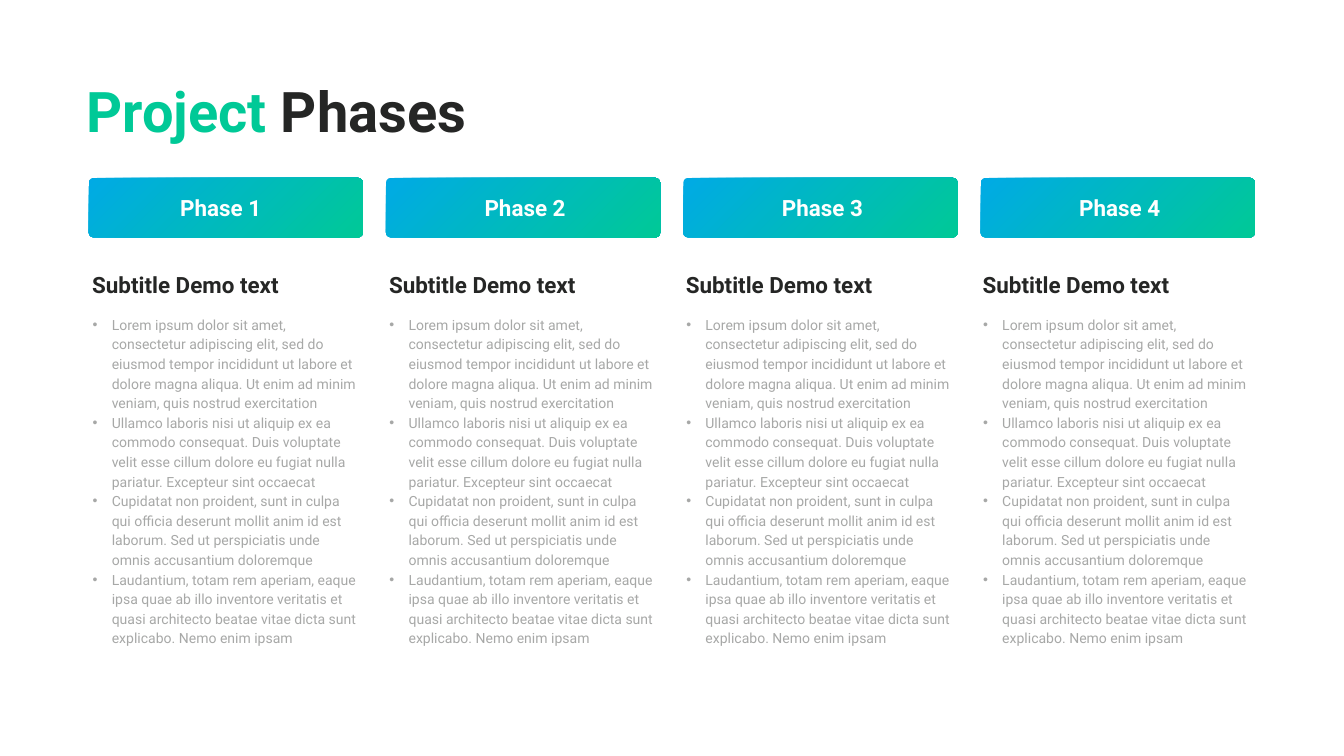
from pptx import Presentation
from pptx.dml.color import RGBColor
from pptx.enum.shapes import MSO_SHAPE
from pptx.enum.text import MSO_ANCHOR, MSO_AUTO_SIZE, PP_ALIGN
from pptx.oxml.ns import qn
from pptx.util import Inches, Pt
from lxml import etree

ROUNDED = MSO_SHAPE.ROUNDED_RECTANGLE
TOP, MIDDLE = MSO_ANCHOR.TOP, MSO_ANCHOR.MIDDLE
LEFT, CENTER = PP_ALIGN.LEFT, PP_ALIGN.CENTER
FIT_SHAPE = MSO_AUTO_SIZE.SHAPE_TO_FIT_TEXT

COLORS = {
    "blue": "00AAE5",
    "green": "00C997",
    "white": "FEFFFE",
    "dark": "252625",
    "gray": "A7A8A7",
}
PHASES = ["Phase 1", "Phase 2", "Phase 3", "Phase 4"]
SUBTITLE = "Subtitle Demo text"
POINTS = [
    "Lorem ipsum dolor sit amet, consectetur adipiscing elit, sed do eiusmod tempor "
    "incididunt ut labore et dolore magna aliqua. Ut enim ad minim veniam, quis nostrud "
    "exercitation",
    "Ullamco laboris nisi ut aliquip ex ea commodo consequat. Duis voluptate velit esse "
    "cillum dolore eu fugiat nulla pariatur. Excepteur sint occaecat",
    "Cupidatat non proident, sunt in culpa qui officia deserunt mollit anim id est laborum. "
    "Sed ut perspiciatis unde omnis accusantium doloremque",
    "Laudantium, totam rem aperiam, eaque ipsa quae ab illo inventore veritatis et quasi "
    "architecto beatae vitae dicta sunt explicabo. Nemo enim ipsam",
]
BAR_LEFT, BAR_PITCH = 1.76, 5.9
COLUMN_LEFT, COLUMN_PITCH = 1.77, 5.89
COLUMN_WIDTH = 5.44
LABEL_LEFTS = [2.13, 8.17, 14.07, 19.97]


class SlidePainter:
    def __init__(self, slide, font="Roboto"):
        self.slide = slide
        self.font = font

    def color(self, name):
        return RGBColor.from_string(COLORS[name])

    def bar(self, left, top, width, height):
        shape = self.slide.shapes.add_shape(
            ROUNDED, Inches(left), Inches(top), Inches(width), Inches(height))
        shape.adjustments[0] = 0.08
        shape.shadow.inherit = False
        shape.line.fill.background()
        shape.fill.gradient()
        shape.fill.gradient_angle = 315
        for stop, name in zip(shape.fill.gradient_stops, ("blue", "green")):
            stop.color.rgb = self.color(name)

    def frame(self, left, top, width, height, anchor=TOP):
        box = self.slide.shapes.add_textbox(
            Inches(left), Inches(top), Inches(width), Inches(height))
        frame = box.text_frame
        frame.word_wrap = True
        frame.auto_size = FIT_SHAPE
        frame.vertical_anchor = anchor
        return frame

    def span(self, para, text, size, color, bold):
        span = para.add_run()
        span.text = text
        span.font.name = self.font
        span.font.size = Pt(size)
        span.font.bold = bold
        span.font.color.rgb = self.color(color)

    def heading(self, left, top, width, height, spans, size, anchor=MIDDLE, align=LEFT):
        frame = self.frame(left, top, width, height, anchor)
        frame.margin_left = frame.margin_right = Inches(0.06)
        frame.margin_top = frame.margin_bottom = Inches(0.06)
        para = frame.paragraphs[0]
        para.alignment = align
        for text, color in spans:
            self.span(para, text, size, color, True)

    def bullets(self, left, top, width, height, points):
        frame = self.frame(left, top, width, height)
        for index, point in enumerate(points):
            para = frame.add_paragraph() if index else frame.paragraphs[0]
            para.line_spacing = Pt(28)
            self.span(para, point, 20, "gray", False)
            properties = para._p.get_or_add_pPr()
            properties.set("marL", str(Inches(0.38)))
            properties.set("indent", str(-Inches(0.38)))
            etree.SubElement(properties, qn("a:buFont"), typeface="Arial")
            etree.SubElement(properties, qn("a:buChar"), char="•")


def main():
    deck = Presentation()
    deck.slide_width = Inches(26.67)
    deck.slide_height = Inches(15)
    painter = SlidePainter(deck.slides.add_slide(deck.slide_layouts[6]))

    painter.heading(1.66, 1.46, 12.58, 1.46,
                    [("Project ", "green"), ("Phases", "dark")], 80, TOP)

    for index, (phase, label_left) in enumerate(zip(PHASES, LABEL_LEFTS)):
        left = COLUMN_LEFT + index * COLUMN_PITCH
        painter.bar(BAR_LEFT + index * BAR_PITCH, 3.53, COLUMN_WIDTH, 1.18)
        painter.heading(label_left, 3.79, 4.5, 0.65, [(phase, "white")], 32, align=CENTER)
        painter.heading(left, 5.33, COLUMN_WIDTH, 0.65, [(SUBTITLE, "dark")], 32)
        painter.bullets(left - 0.03, 6.17, COLUMN_WIDTH + 0.03, 6.75, POINTS)

    deck.save("out.pptx")


if __name__ == "__main__":
    main()
